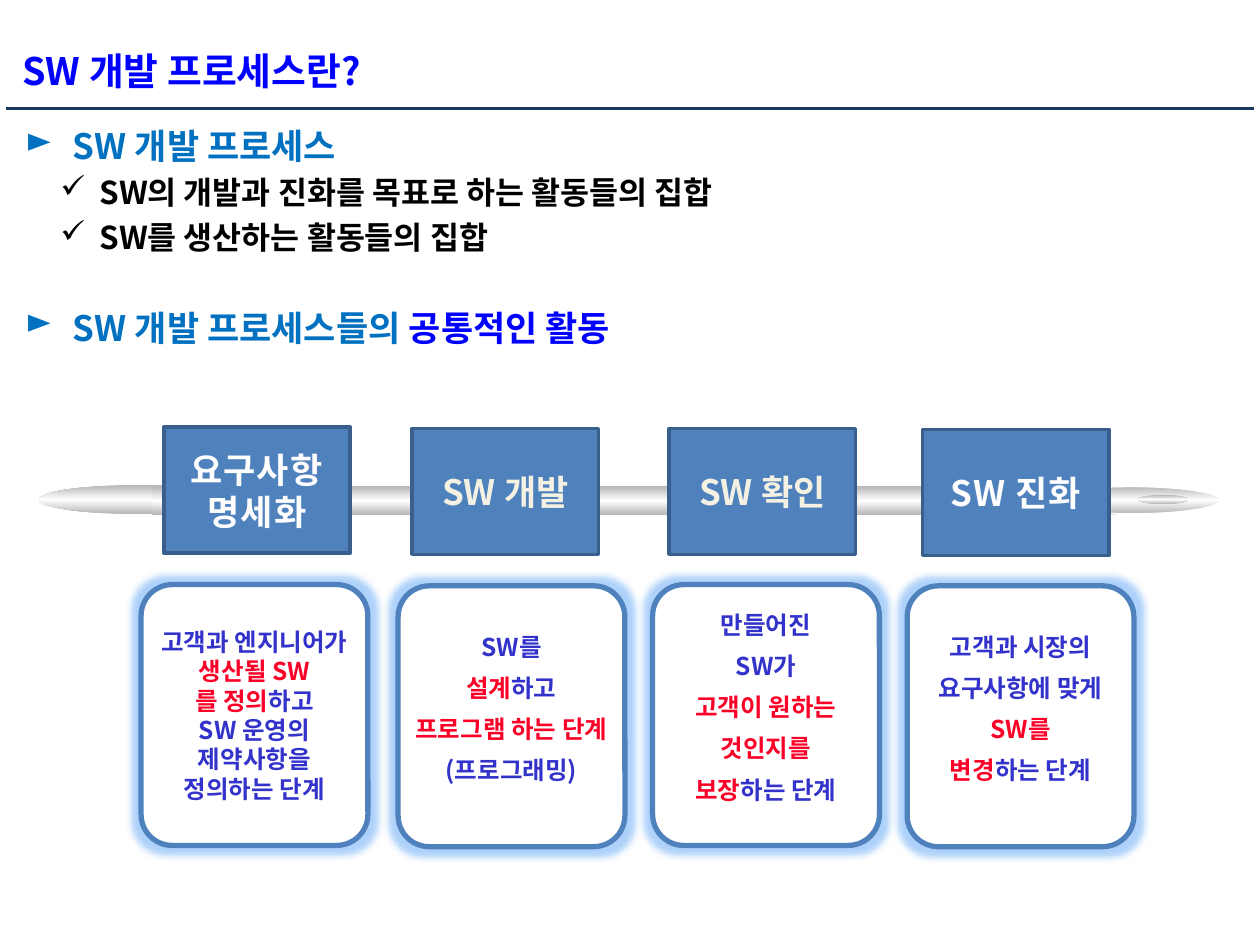
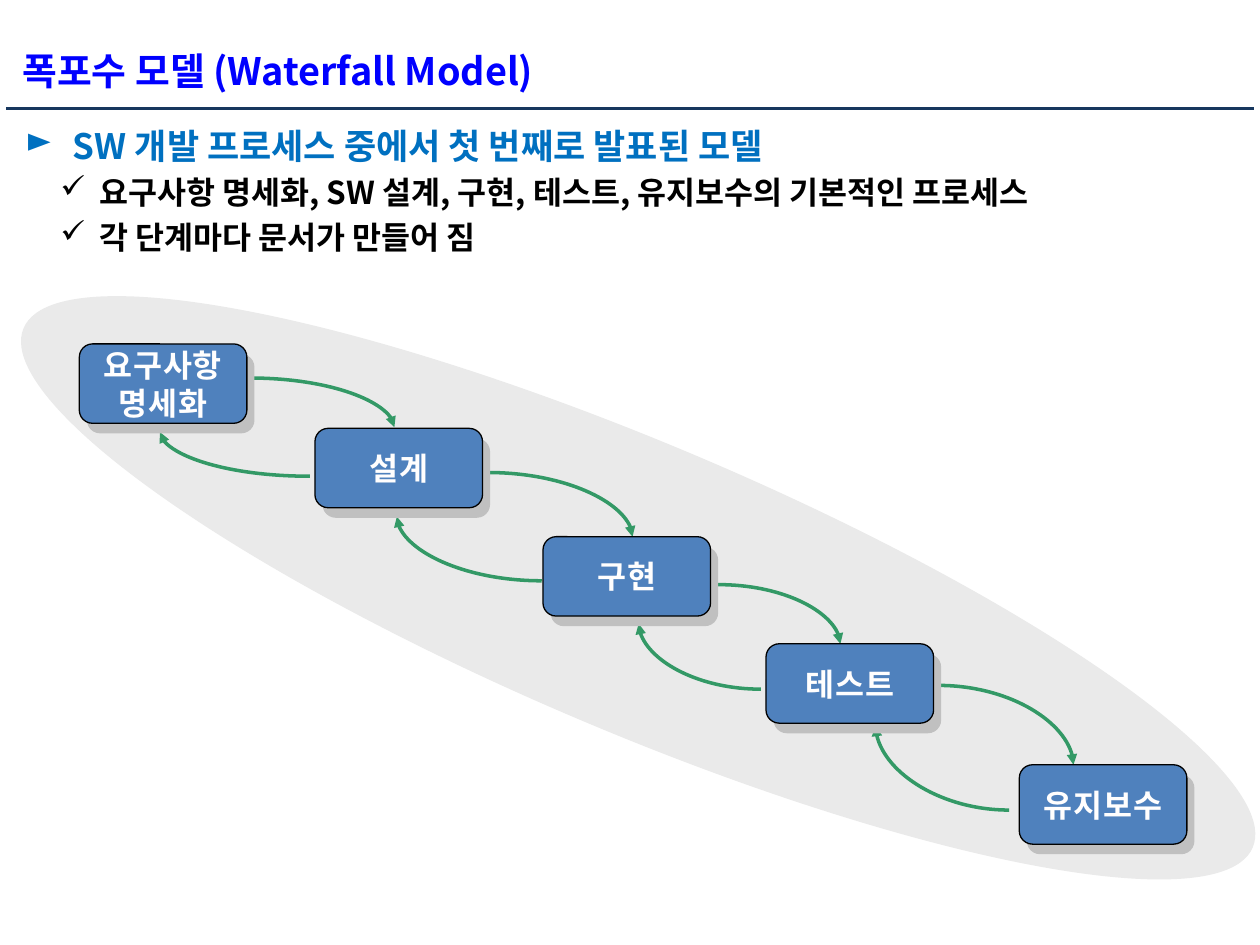
from dataclasses import dataclass

from lxml import etree
from pptx import Presentation
from pptx.dml.color import RGBColor
from pptx.enum import shapes, text
from pptx.oxml.ns import qn
from pptx.util import Inches, Pt

KIND = shapes.MSO_SHAPE
MID = text.MSO_ANCHOR.MIDDLE
TOP = text.MSO_ANCHOR.TOP
MARGIN = ("margin_left", "margin_top", "margin_right", "margin_bottom")


@dataclass(frozen=True)
class Theme:
    font: str = "Noto Sans CJK KR"
    title: str = "0000FF"
    rule: str = "17375E"
    head: str = "0070C0"
    body: str = "000000"
    box: str = "4F81BD"
    edge: str = "3A5F8C"
    white: str = "FFFFFF"
    label: str = "FFFEFE"
    cream: str = "F4F1E3"
    note: str = "3333CC"
    hot: str = "FC0128"
    glow: str = "5CA4F5"
    metal: str = "B6B6B6"
    oval: str = "EAEAEA"
    shade: str = "C0C0C0"
    arrow: str = "339966"
    big: float = 21.6
    mid: float = 20
    sub: float = 18
    small: float = 14
    lead: float = 1.2


T = Theme()


def put(item, **vals):
    for key, val in vals.items():
        setattr(item, key, val)


def node(home, tag, **vals):
    kid = etree.SubElement(home, qn("a:" + tag))
    for key, val in vals.items():
        kid.set(key, str(val))
    return kid


def tint(home, color, alpha=None):
    kid = node(home, "srgbClr", val=color)
    if alpha:
        node(kid, "alpha", val=alpha)


def rgb(color):
    return RGBColor.from_string(color)


def shape(slide, kind, box, fill, line=None, wide=1.0, adj=None):
    item = slide.shapes.add_shape(kind, *map(Inches, box))
    item.shadow.inherit = False
    item.fill.solid()
    item.fill.fore_color.rgb = rgb(fill)
    if line:
        item.line.color.rgb = rgb(line)
        item.line.width = Pt(wide)
    else:
        item.line.fill.background()
    if adj:
        item.adjustments[0] = adj
    return item


def metal(slide, kind, box, line=None):
    item = shape(slide, kind, box, T.metal, line)
    item.fill.gradient()
    item.fill.gradient_angle = 90
    stops = item.element.spPr.find(".//" + qn("a:gsLst"))
    for old in list(stops):
        stops.remove(old)
    for pos, color in ((0, T.metal), (50000, T.white), (100000, T.metal)):
        tint(node(stops, "gs", pos=pos), color)


def link(slide, kind, start, end, color, wide):
    item = slide.shapes.add_connector(kind, *map(Inches, start + end))
    item.line.color.rgb = rgb(color)
    item.line.width = Pt(wide)
    node(item.element.spPr, "effectLst")
    return item


def write(para, runs, size, shade=False):
    for words, color in runs:
        run = para.add_run()
        run.text = words
        put(run.font, size=Pt(size), bold=True)
        run.font.color.rgb = rgb(color)
        props = run._r.get_or_add_rPr()
        if shade:
            props.set("spc", "50")
            cast = node(node(props, "effectLst"), "outerShdw",
                        blurRad=25400, dist=25400, dir=2700000)
            tint(cast, T.body, 40000)
        run.font.name = T.font
        node(props, "ea", typeface=T.font)


def fill(item, lines, size, lead=T.lead, shade=False, wrap=True,
         anchor=MID, align=text.PP_ALIGN.CENTER, pads=(0.1, 0.05, 0.1, 0.05)):
    frame = item.text_frame
    put(frame, word_wrap=wrap, vertical_anchor=anchor,
        **dict(zip(MARGIN, map(Inches, pads))))
    for num, runs in enumerate(lines):
        para = frame.add_paragraph() if num else frame.paragraphs[0]
        put(para, alignment=align, line_spacing=Pt(size * lead))
        write(para, runs, size, shade)


def title(slide, words):
    link(slide, shapes.MSO_CONNECTOR.STRAIGHT, (0.05, 0.86), (9.95, 0.86),
         T.rule, 1.5)
    area = slide.shapes.add_textbox(*map(Inches, (0.08, 0.32, 9.84, 0.47)))
    fill(area, [[(words, T.title)]], T.big, align=text.PP_ALIGN.LEFT)


def points(slide, box, items):
    area = slide.shapes.add_textbox(*map(Inches, box))
    frame = area.text_frame
    put(frame, word_wrap=True, vertical_anchor=TOP)
    for num, (level, gap, runs) in enumerate(items):
        size, left, hang, mark = ((T.sub, 0.59, 0.31, "✓") if level
                                  else (T.mid, 0.38, 0.38, "►"))
        para = frame.add_paragraph() if num else frame.paragraphs[0]
        put(para, level=level, space_before=Pt(gap),
            line_spacing=Pt(size * T.lead))
        props = para._p.get_or_add_pPr()
        props.set("marL", str(Inches(left)))
        props.set("indent", str(-Inches(hang)))
        node(props, "buChar", char=mark)
        write(para, runs, size)


def needle(slide, box):
    left, top, wide, high = box
    metal(slide, KIND.OVAL, (left, top, 1.58, high))
    metal(slide, KIND.RECTANGLE, (left + 0.9, top + 0.01, 7.77, high))
    metal(slide, KIND.OVAL, (left + wide - 1.42, top + 0.01, 1.42, 0.22),
          T.white)
    metal(slide, KIND.OVAL, (left + wide - 0.66, top + 0.08, 0.4, 0.07))


def tag(slide, box, words, color):
    item = shape(slide, KIND.RECTANGLE, box, T.box, T.edge, 2)
    fill(item, [[(words, color)]], T.mid, shade=color == T.label)


def card(slide, box, lines, lead, foot):
    item = shape(slide, KIND.ROUNDED_RECTANGLE, box, T.white, T.box, 3, 0.137)
    halo = item.element.spPr.find(qn("a:effectLst"))
    tint(node(halo, "glow", rad=Inches(0.11)), T.glow, 50000)
    fill(item, lines, T.small, lead, wrap=False, pads=(0.1, 0.05, 0.1, foot))


def step(slide, box, words):
    left, top, wide, high = box
    kind = KIND.ROUNDED_RECTANGLE
    shape(slide, kind, (left + 0.06, top + 0.08, wide, high), T.shade)
    item = shape(slide, kind, box, T.box, T.body, 0.75)
    fill(item, [[(words, T.label)]], T.sub, shade=True, pads=(0.01,) * 4)


def curve(slide, start, end):
    item = link(slide, shapes.MSO_CONNECTOR.CURVE, start, end, T.arrow, 2)
    props = item.element.spPr
    props.find(qn("a:prstGeom")).set("prst", "curvedConnector2")
    node(props.find(qn("a:ln")), "tailEnd", type="triangle")


def process(slide):
    title(slide, "SW 개발 프로세스란?")
    points(slide, (0.1, 0.94, 9.75, 6.25), [
        (0, 0, [("SW 개발 프로세스", T.head)]),
        (1, 3.6, [("SW의 개발과 진화를 목표로 하는 활동들의 집합", T.body)]),
        (1, 4, [("SW를 생산하는 활동들의 집합", T.body)]),
        (0, 29, [("SW 개발 프로세스들의 ", T.head),
                 ("공통적인 활동", T.title)])])
    needle(slide, (0.31, 3.85, 9.38, 0.23))
    for left, top, words, color in (
            (1.3, 3.39, "요구사항 명세화", T.label),
            (3.27, 3.4, "SW 개발", T.cream),
            (5.31, 3.4, "SW 확인", T.cream),
            (7.32, 3.41, "SW 진화", T.label)):
        tag(slide, (left, top, 1.48, 1), words, color)
    blue, red = T.note, T.hot
    for left, top, lead, foot, lines in (
            (1.12, 4.64, T.lead, 0.05, [
                [("고객과 엔지니어가", blue)], [("생산될 SW", red)],
                [("를 정의", red), ("하고", blue)], [("SW 운영의", blue)],
                [("제약사항을", blue)], [("정의하는 단계", blue)]]),
            (3.16, 4.65, 1.68, 0.27, [
                [("SW를", blue)], [("설계", red), ("하고", blue)],
                [("프로그램 하는 단계", red)], [("(프로그래밍)", blue)]]),
            (5.18, 4.64, 1.68, 0.27, [
                [("만들어진", blue)], [("SW가", blue)],
                [("고객이 원하는", red)], [("것인지를", red)],
                [("보장", red), ("하는 단계", blue)]]),
            (7.2, 4.65, 1.68, 0.27, [
                [("고객과 시장의", blue)], [("요구사항에 맞게", blue)],
                [("SW를", red)], [("변경", red), ("하는 단계", blue)]])):
        card(slide, (left, top, 1.8, 2.07), lines, lead, foot)


def falls(slide):
    title(slide, "폭포수 모델 (Waterfall Model)")
    points(slide, (0.1, 0.94, 9.75, 6.25), [
        (0, 0, [("SW 개발 프로세스 중에서 첫 번째로 발표된 모델", T.head)]),
        (1, 3.6, [("요구사항 명세화, SW 설계, 구현, 테스트, "
                   "유지보수의 기본적인 프로세스", T.body)]),
        (1, 4, [("각 단계마다 문서가 만들어 짐", T.body)])])
    oval = shape(slide, KIND.OVAL, (-0.23, 3.52, 10.59, 2.29), T.oval)
    oval.rotation = 22.9
    for start, end in (
            ((1.98, 3), (3.13, 3.39)), ((3.87, 3.75), (5.02, 4.26)),
            ((5.7, 4.64), (6.67, 5.11)), ((7.45, 5.44), (8.52, 6.07)),
            ((8.01, 6.43), (6.95, 5.76)), ((6.04, 5.47), (5.07, 4.95)),
            ((4.3, 4.61), (3.15, 4.1)), ((2.46, 3.78), (1.27, 3.43))):
        curve(slide, start, end)
    for left, top, words in (
            (0.63, 2.73, "요구사항 명세화"), (2.5, 3.4, "설계"),
            (4.31, 4.26, "구현"), (6.08, 5.11, "테스트"),
            (8.09, 6.07, "유지보수")):
        step(slide, (left, top, 1.33, 0.63), words)


def main():
    deck = Presentation()
    put(deck, slide_width=Inches(10), slide_height=Inches(7.5))
    for build in (process, falls):
        build(deck.slides.add_slide(deck.slide_layouts[6]))
    deck.save("out.pptx")


if __name__ == "__main__":
    main()
